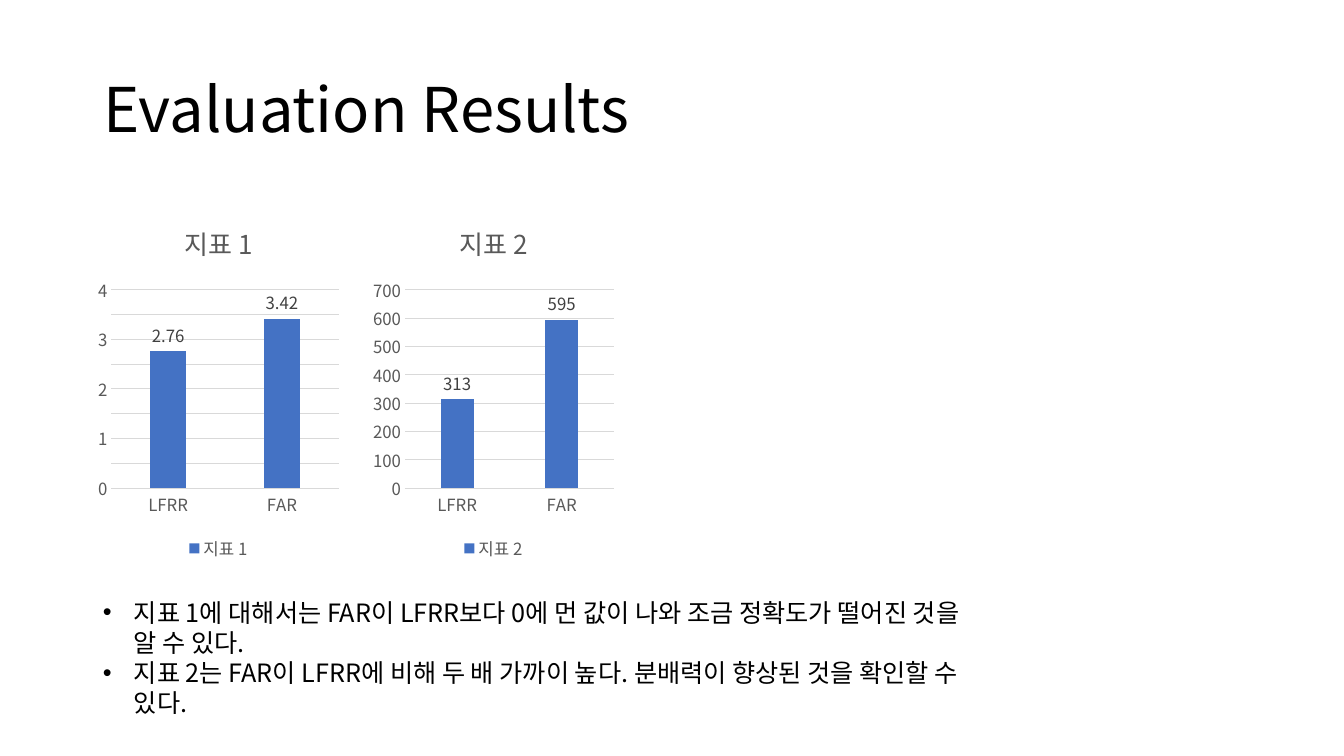
from lxml import etree
from pptx import Presentation
from pptx.chart.data import CategoryChartData
from pptx.dml.color import RGBColor
from pptx.enum.chart import XL_CHART_TYPE, XL_LABEL_POSITION, XL_LEGEND_POSITION, XL_TICK_MARK
from pptx.enum.text import MSO_ANCHOR, MSO_AUTO_SIZE, PP_ALIGN
from pptx.oxml.ns import qn
from pptx.util import Emu, Pt

COLUMN = XL_CHART_TYPE.COLUMN_CLUSTERED
OUTSIDE = XL_LABEL_POSITION.OUTSIDE_END
BOTTOM = XL_LEGEND_POSITION.BOTTOM
NO_TICK = XL_TICK_MARK.NONE
MIDDLE = MSO_ANCHOR.MIDDLE
NO_FIT = MSO_AUTO_SIZE.NONE
LEFT = PP_ALIGN.LEFT

FONT = "Noto Sans CJK KR"
BLACK = RGBColor(0x00, 0x00, 0x00)
DARK = RGBColor(0x40, 0x40, 0x40)
GRAY = RGBColor(0x59, 0x59, 0x59)
GRID = RGBColor(0xD9, 0xD9, 0xD9)
BLUE = RGBColor(0x44, 0x72, 0xC4)

PX = 914400 / 100.8
MARGIN = 93


def px(*lengths):
    return [Emu(round(n * PX)) for n in lengths]


def set_font(font, size, color):
    for name, value in {"name": FONT, "size": Pt(size), "bold": False}.items():
        setattr(font, name, value)
    font.color.rgb = color


prs = Presentation()
prs.slide_width, prs.slide_height = px(1344, 756)
s = prs.slides.add_slide(prs.slide_layouts[5])

# Title
title = s.shapes.title
title.left, title.top, title.width, title.height = px(MARGIN, 40, 1159, 146)
tf = title.text_frame
tf.auto_size = NO_FIT
tf.vertical_anchor = MIDDLE
p = tf.paragraphs[0]
p.alignment = LEFT
p.line_spacing = 0.9
r = p.add_run()
r.text = "Evaluation Results"
set_font(r.font, 44, BLACK)

# Column charts: name, values, axis maximum, axis step
CHARTS = [
    ("지표 1", (2.76, 3.42), 4, 0.5),
    ("지표 2", (313, 595), 700, 100),
]
roots = [s.element]
for i, (name, values, top, step) in enumerate(CHARTS):
    data = CategoryChartData()
    data.categories = ["LFRR", "FAR"]
    data.add_series(name, values)
    chart = s.shapes.add_chart(COLUMN, *px(MARGIN + 275 * i, 204, 251, 361), data).chart
    set_font(chart.font, 10, BLACK)

    p = chart.chart_title.text_frame.paragraphs[0]
    r = p.add_run()
    r.text = name
    set_font(r.font, 18.6, GRAY)

    chart.has_legend = True
    chart.legend.position = BOTTOM
    chart.legend.include_in_layout = False
    set_font(chart.legend.font, 12, GRAY)

    for axis in (chart.category_axis, chart.value_axis):
        axis.major_tick_mark = axis.minor_tick_mark = NO_TICK
        set_font(axis.tick_labels.font, 12, GRAY)
    axis.minimum_scale, axis.maximum_scale, axis.major_unit = 0, top, step
    axis.has_major_gridlines = True
    axis.format.line.fill.background()
    for line in (chart.category_axis.format.line, axis.major_gridlines.format.line):
        line.color.rgb = GRID
        line.width = Pt(0.75)

    plot = chart.plots[0]
    plot.gap_width, plot.overlap, plot.vary_by_categories = 219, -27, False
    series = plot.series[0]
    series.format.fill.solid()
    series.format.fill.fore_color.rgb = BLUE
    labels = series.data_labels
    labels.show_value = True
    labels.position = OUTSIDE
    set_font(labels.font, 12, DARK)
    roots.append(chart.element)

# Findings
FINDINGS = [
    "지표 1에 대해서는 FAR이 LFRR보다 0에 먼 값이 나와 조금 정확도가 떨어진 것을 알 수 있다.",
    "지표 2는 FAR이 LFRR에 비해 두 배 가까이 높다. 분배력이 향상된 것을 확인할 수 있다.",
]
tf = s.shapes.add_textbox(*px(MARGIN, 592, 902, 132)).text_frame
tf.word_wrap = True
for i, finding in enumerate(FINDINGS):
    p = tf.paragraphs[0] if i == 0 else tf.add_paragraph()
    r = p.add_run()
    r.text = finding
    set_font(r.font, 18, BLACK)
    pPr = p._p.get_or_add_pPr()
    indent = px(31)[0]
    pPr.set("marL", str(indent))
    pPr.set("indent", str(-indent))
    etree.SubElement(pPr, qn("a:buFont"), typeface="Arial")
    etree.SubElement(pPr, qn("a:buChar"), char="•")

# Korean glyphs use the same typeface as Latin ones
for root in roots:
    for latin in list(root.iter(qn("a:latin"))):
        latin.addnext(etree.Element(qn("a:ea"), typeface=FONT))

prs.save("out.pptx")
